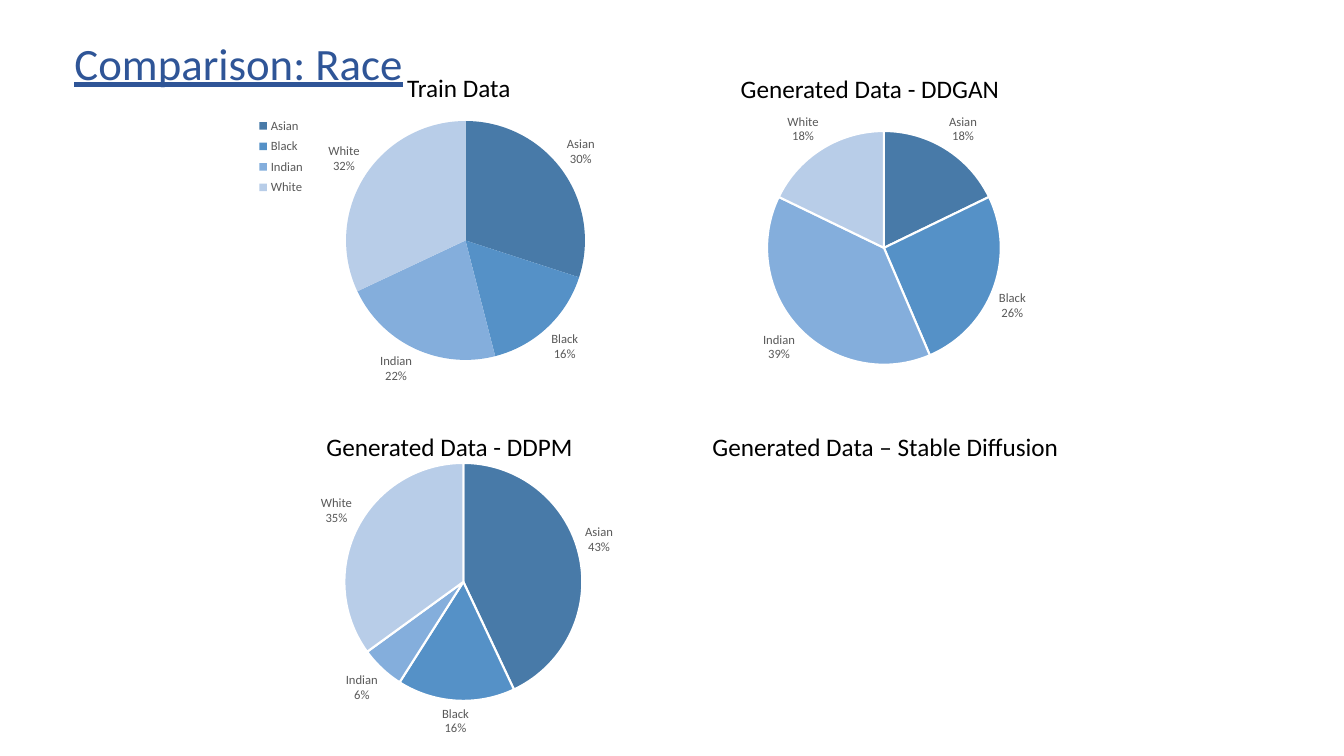
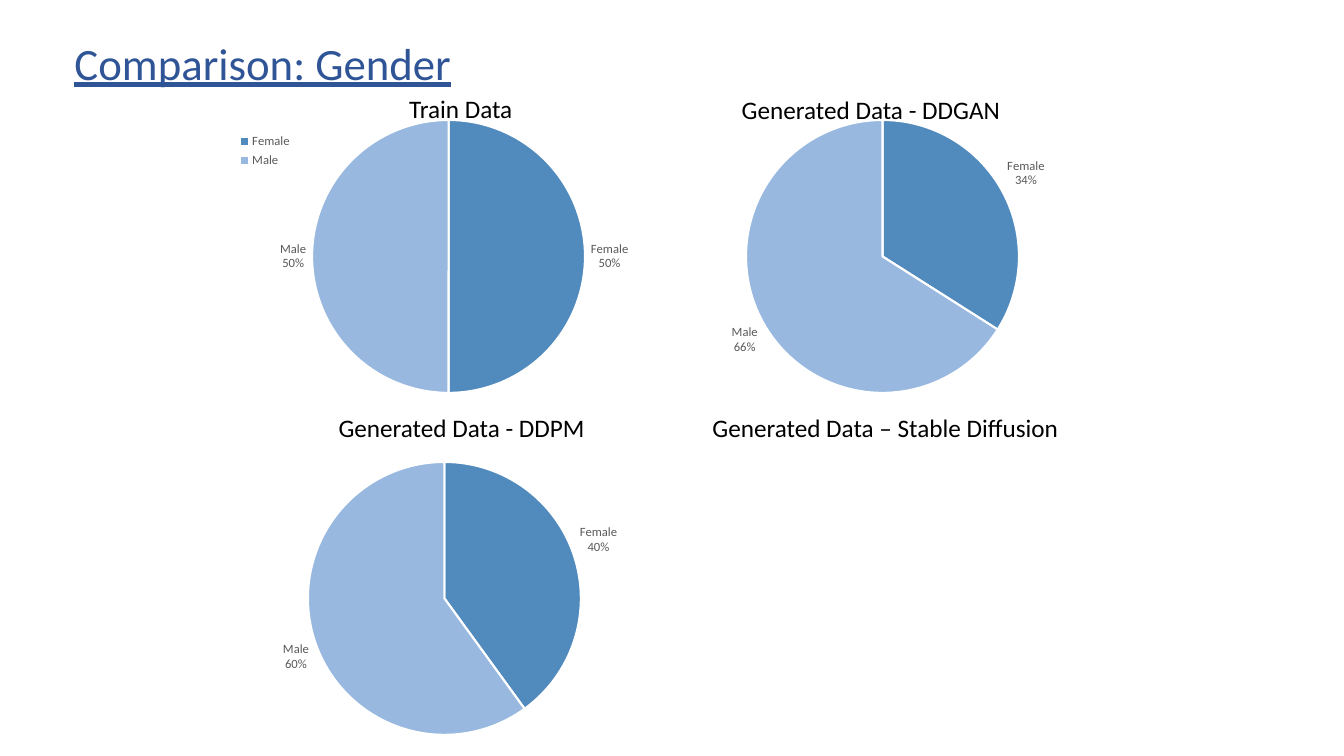
from pptx import Presentation
from pptx.chart.data import CategoryChartData
from pptx.dml.color import RGBColor
from pptx.enum.chart import XL_CHART_TYPE, XL_LABEL_POSITION, XL_LEGEND_POSITION
from pptx.enum.text import MSO_ANCHOR, MSO_AUTO_SIZE, PP_ALIGN
from pptx.oxml import parse_xml
from pptx.oxml.ns import nsdecls, qn
from pptx.util import Pt

COLORS = {"title": "2F5597", "heading": "000000", "label": "595959", "border": "FFFFFF"}
FONT = "Calibri"
CHART_WIDTH, CHART_HEIGHT = 360, 216
HEADINGS = ["Train Data", "Generated Data - DDGAN", "Generated Data - DDPM",
            "Generated Data – Stable Diffusion"]
HEADING_WIDTHS = [99.4, 214.6, 214.6, 280.8]

COMPARISONS = [
    {
        "title": "Comparison: Race",
        "categories": ["Asian", "Black", "Indian", "White"],
        "shades": ["487AA8", "5591C7", "84AEDC", "B8CDE8"],
        "heading_spots": [(283.7, 48.2), (522, 49), (226.1, 304.6), (501.8, 304.6)],
        "legend": (0.02, 0.04, 0.12, 0.29),
        "pies": [
            {"values": [30, 16, 22, 32], "at": (172, 72), "center": (332.5, 171.8),
             "diameter": 170.7, "border": False},
            {"values": [18, 26, 39, 18], "at": (455, 65.5), "center": (631.4, 177.1),
             "diameter": 167, "border": True},
            {"values": [43, 16, 6, 35], "at": (152, 320.4), "center": (331, 415.7),
             "diameter": 170, "border": True},
        ],
    },
    {
        "title": "Comparison: Gender",
        "categories": ["Female", "Male"],
        "shades": ["518ABD", "98B8E0"],
        "heading_spots": [(285.1, 63.4), (522.7, 64.1), (234.7, 290.9), (501.8, 290.9)],
        "legend": (0, 0.08, 0.12, 0.14),
        "pies": [
            {"values": [50, 50], "at": (167.8, 75.6), "center": (320.4, 183.2),
             "diameter": 195, "border": True},
            {"values": [34, 66], "at": (454.3, 75.6), "center": (630.4, 183.2),
             "diameter": 195, "border": True},
            {"values": [40, 60], "at": (141.8, 319.7), "center": (317.5, 427.5),
             "diameter": 195, "border": True},
        ],
    },
]


def style_font(font, size, color):
    font.name = FONT
    font.size = Pt(size)
    font.color.rgb = RGBColor.from_string(color)


def set_layout(element, index, fractions, target=""):
    for old in element.findall(qn("c:layout")):
        element.remove(old)
    x, y, w, h = fractions
    element.insert(index, parse_xml(
        f'<c:layout {nsdecls("c")}><c:manualLayout>{target}'
        '<c:xMode val="edge"/><c:yMode val="edge"/>'
        f'<c:x val="{x:.4f}"/><c:y val="{y:.4f}"/><c:w val="{w:.4f}"/><c:h val="{h:.4f}"/>'
        '</c:manualLayout></c:layout>'))


prs = Presentation()
prs.slide_width, prs.slide_height = Pt(960), Pt(540)

for comparison in COMPARISONS:
    slide = prs.slides.add_slide(prs.slide_layouts[5])
    title = slide.shapes.title
    title.left, title.top, title.width, title.height = Pt(46), Pt(21.6), Pt(632), Pt(46)
    title.text_frame.text = comparison["title"]
    title.text_frame.vertical_anchor = MSO_ANCHOR.TOP
    title.text_frame.auto_size = MSO_AUTO_SIZE.SHAPE_TO_FIT_TEXT
    title.text_frame.paragraphs[0].alignment = PP_ALIGN.LEFT
    title_font = title.text_frame.paragraphs[0].runs[0].font
    style_font(title_font, 32, COLORS["title"])
    title_font.underline = True

    for heading, width, (left, top) in zip(HEADINGS, HEADING_WIDTHS, comparison["heading_spots"]):
        box = slide.shapes.add_textbox(Pt(left), Pt(top), Pt(width), Pt(29))
        box.text_frame.text = heading
        box.text_frame.word_wrap = True
        box.text_frame.auto_size = MSO_AUTO_SIZE.SHAPE_TO_FIT_TEXT
        style_font(box.text_frame.paragraphs[0].runs[0].font, 18, COLORS["heading"])

    for number, pie in enumerate(comparison["pies"]):
        data = CategoryChartData()
        data.categories = comparison["categories"]
        data.add_series("Series 1", pie["values"])
        left, top = pie["at"]
        chart = slide.shapes.add_chart(XL_CHART_TYPE.PIE, Pt(left), Pt(top), Pt(CHART_WIDTH),
                                       Pt(CHART_HEIGHT), data).chart
        chart.has_title = False
        style_font(chart.font, 10, COLORS["heading"])
        chart_space = chart.element
        chart_space.find(qn("c:chart")).addnext(parse_xml(
            f'<c:spPr {nsdecls("c", "a")}><a:noFill/><a:ln><a:noFill/></a:ln></c:spPr>'))

        center_x, center_y = pie["center"]
        diameter = pie["diameter"]
        set_layout(chart_space.find(qn("c:chart")).find(qn("c:plotArea")), 0,
                   ((center_x - diameter / 2 - left) / CHART_WIDTH,
                    (center_y - diameter / 2 - top) / CHART_HEIGHT,
                    diameter / CHART_WIDTH, diameter / CHART_HEIGHT),
                   '<c:layoutTarget val="inner"/>')

        chart.has_legend = number == 0
        if chart.has_legend:
            chart.legend.position = XL_LEGEND_POSITION.RIGHT
            chart.legend.include_in_layout = False
            style_font(chart.legend.font, 9, COLORS["label"])
            set_layout(chart_space.find(qn("c:chart")).find(qn("c:legend")), 1,
                       comparison["legend"])

        plot = chart.plots[0]
        plot.vary_by_categories = True
        series = plot.series[0]
        for index, shade in enumerate(comparison["shades"]):
            slice_format = series.points[index].format
            slice_format.fill.solid()
            slice_format.fill.fore_color.rgb = RGBColor.from_string(shade)
            if pie["border"]:
                slice_format.line.width = Pt(1.5)
                slice_format.line.color.rgb = RGBColor.from_string(COLORS["border"])
            else:
                slice_format.line.fill.background()

        labels = series.data_labels
        labels.show_value = False
        labels.show_category_name = True
        labels.show_percentage = True
        labels.number_format = "0%"
        labels.number_format_is_linked = False
        labels.position = XL_LABEL_POSITION.OUTSIDE_END
        style_font(labels.font, 9, COLORS["label"])
        bubble_size = next(chart_space.iter(qn("c:showBubbleSize")))
        bubble_size.addnext(parse_xml(f'<c:separator {nsdecls("c")}>\n</c:separator>'))

prs.save("out.pptx")
